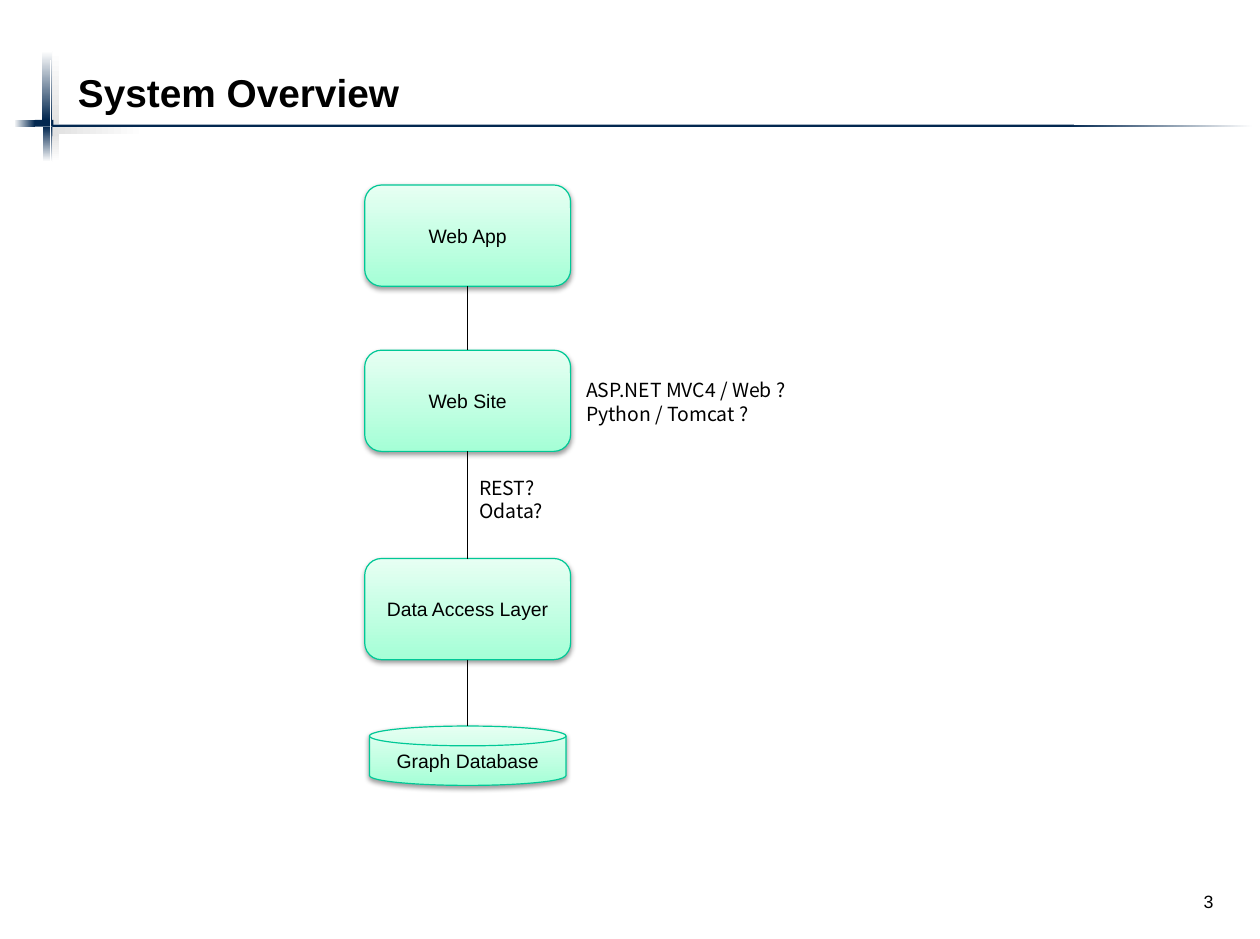
from dataclasses import dataclass
from itertools import pairwise
from typing import Any, Optional

from lxml.etree import SubElement
from pptx import Presentation
from pptx.dml.color import RGBColor
from pptx.dml.fill import FillFormat
from pptx.enum.shapes import MSO_CONNECTOR, MSO_SHAPE
from pptx.enum.text import MSO_ANCHOR, MSO_AUTO_SIZE, PP_ALIGN
from pptx.oxml.ns import qn
from pptx.shapes.autoshape import Shape
from pptx.shapes.connector import Connector
from pptx.slide import Slide
from pptx.text.text import TextFrame
from pptx.util import Inches, Pt

HUES = {"navy": "032850", "gray": "E1E1E1", "white": "FFFFFF", "black": "000000",
        "mint": "A5FFD6", "pale": "E7FFF3", "green": "00C896"}
RIGHT, UP, LEFT, DOWN = 0, 90, 180, 270
MID = 4.02  # centre line of the stack of layers


@dataclass
class Bar:
    x: float
    y: float
    w: float
    h: float
    hue: str
    fade: Optional[int] = None


@dataclass
class Node:
    text: str
    y: float
    w: float = 1.77
    h: float = 0.87
    kind: MSO_SHAPE = MSO_SHAPE.ROUNDED_RECTANGLE
    top: int = 0  # connection site at the top edge


@dataclass
class Note:
    text: str
    x: float
    y: float
    w: float
    h: float = 0.5


BARS = [
    Bar(0.37, 1.09, 0.09, 0.3, "navy", DOWN),
    Bar(0.36, 0.44, 0.09, 0.59, "navy", UP),
    Bar(0.45, 0.44, 0.06, 0.63, "gray", UP),
    Bar(0.45, 1.15, 0.06, 0.24, "gray", DOWN),
    Bar(0.12, 1.03, 0.18, 0.06, "navy", LEFT),
    Bar(0.45, 1.07, 8.78, 0.02, "navy"),
    Bar(0.45, 1.09, 0.8, 0.06, "gray", RIGHT),
    Bar(9.19, 1.07, 1.58, 0.02, "navy", RIGHT),
    Bar(0.3, 1.03, 0.16, 0.06, "navy"),
]
NODES = [
    Node("Web App", 1.59),
    Node("Web Site", 3.01),
    Node("Data Access Layer", 4.8),
    Node("Graph Database", 6.24, 1.69, 0.51, MSO_SHAPE.FLOWCHART_MAGNETIC_DISK, 1),
]
NOTES = [
    Note("REST? Odata?", MID, 4.04, 0.89),
    Note("ASP.NET MVC4 / Web ?\nPython / Tomcat ?", 4.94, 3.2, 2.36),
]


def rgb(hue: str) -> RGBColor:
    return RGBColor.from_string(HUES[hue])


def apply(thing: Any, looks: dict[str, Any]) -> None:
    for name, value in looks.items():
        setattr(thing, name, value)


def write(frame: TextFrame, text: str, font: dict[str, Any],
          para: dict[str, Any], body: dict[str, Any]) -> None:
    frame.text = text
    apply(frame, body)
    for line in frame.paragraphs:
        apply(line, para)
        apply(line.font, font)
        line.font.color.rgb = rgb("black")


def blend(fill: FillFormat, start: str, end: str, angle: int) -> None:
    fill.gradient()
    fill.gradient_angle = angle
    for stop, hue in zip(fill.gradient_stops, (start, end)):
        stop.color.rgb = rgb(hue)


def add_bar(slide: Slide, bar: Bar) -> None:
    shape = slide.shapes.add_shape(
        MSO_SHAPE.RECTANGLE, *map(Inches, (bar.x, bar.y, bar.w, bar.h)))
    shape.shadow.inherit = False
    shape.line.fill.background()
    if bar.fade is None:
        shape.fill.solid()
        shape.fill.fore_color.rgb = rgb(bar.hue)
    else:
        blend(shape.fill, bar.hue, "white", bar.fade)


def add_shade(shape: Shape) -> None:
    """Give the shape a soft shadow just below it."""
    shape.shadow.inherit = False
    effects = shape.element.spPr.find(qn("a:effectLst"))
    shade = SubElement(effects, qn("a:outerShdw"), blurRad=str(Pt(3.1)),
                       dist=str(Pt(1.6)), dir="5400000", rotWithShape="0")
    color = SubElement(shade, qn("a:srgbClr"), val=HUES["black"])
    SubElement(color, qn("a:alpha"), val="38000")


def add_node(slide: Slide, node: Node) -> Shape:
    shape = slide.shapes.add_shape(
        node.kind, *map(Inches, (MID - node.w / 2, node.y, node.w, node.h)))
    blend(shape.fill, "mint", "pale", UP)
    shape.line.color.rgb = rgb("green")
    shape.line.width = Pt(0.75)
    add_shade(shape)
    write(shape.text_frame, node.text, {"name": "Arial", "size": Pt(12)},
          {"alignment": PP_ALIGN.CENTER},
          {"vertical_anchor": MSO_ANCHOR.MIDDLE, "word_wrap": True})
    return shape


def add_line(slide: Slide, x: float, top: float, end: float,
             hue: str, width: float) -> Connector:
    line = slide.shapes.add_connector(
        MSO_CONNECTOR.STRAIGHT, *map(Inches, (x, top, x, end)))
    line.line.color.rgb = rgb(hue)
    line.line.width = Pt(width)
    SubElement(line.element.spPr, qn("a:effectLst"))
    return line


def link(slide: Slide, pair: tuple[Node, Node], shapes: tuple[Shape, Shape]) -> None:
    upper, lower = pair
    line = add_line(slide, MID, upper.y + upper.h, lower.y, "black", 0.75)
    line.begin_connect(shapes[0], 2)
    line.end_connect(shapes[1], lower.top)
    apply(line, {"end_x": Inches(MID), "end_y": Inches(lower.y)})


def add_note(slide: Slide, note: Note) -> None:
    box = slide.shapes.add_textbox(*map(Inches, (note.x, note.y, note.w, note.h)))
    write(box.text_frame, note.text, {"name": "Noto Sans CJK JP", "size": Pt(12)},
          {"line_spacing": Pt(14.5)}, {"word_wrap": True})


def add_title(slide: Slide) -> None:
    title = slide.shapes.title
    apply(title, {"left": Inches(0.61), "top": Inches(0.64),
                  "width": Inches(9.69), "height": Inches(0.36)})
    write(title.text_frame, "System Overview",
          {"name": "Arial", "size": Pt(24), "bold": True},
          {"alignment": PP_ALIGN.LEFT, "line_spacing": 0.9},
          {"vertical_anchor": MSO_ANCHOR.BOTTOM, "auto_size": MSO_AUTO_SIZE.NONE,
           "margin_left": Inches(0.06), "margin_right": 0,
           "margin_top": 0, "margin_bottom": 0})


def add_page(slide: Slide) -> None:
    box = slide.shapes.add_textbox(*map(Inches, (10.14, 7.61, 0.4, 0.29)))
    write(box.text_frame, "3", {"name": "Arial", "size": Pt(11)},
          {"alignment": PP_ALIGN.RIGHT},
          {"word_wrap": False, "margin_left": Inches(0.11),
           "margin_right": Inches(0.11)})


def main() -> None:
    deck = Presentation()
    apply(deck, {"slide_width": Inches(10.83), "slide_height": Inches(8.07)})
    slide = deck.slides.add_slide(deck.slide_layouts[5])
    for bar in BARS:
        add_bar(slide, bar)
    add_line(slide, 0.43, 0.52, 1.39, "white", 0.5)
    add_title(slide)
    add_page(slide)
    shapes = [add_node(slide, node) for node in NODES]
    for pair, ends in zip(pairwise(NODES), pairwise(shapes)):
        link(slide, pair, ends)
    for note in NOTES:
        add_note(slide, note)
    deck.save("out.pptx")


if __name__ == "__main__":
    main()
